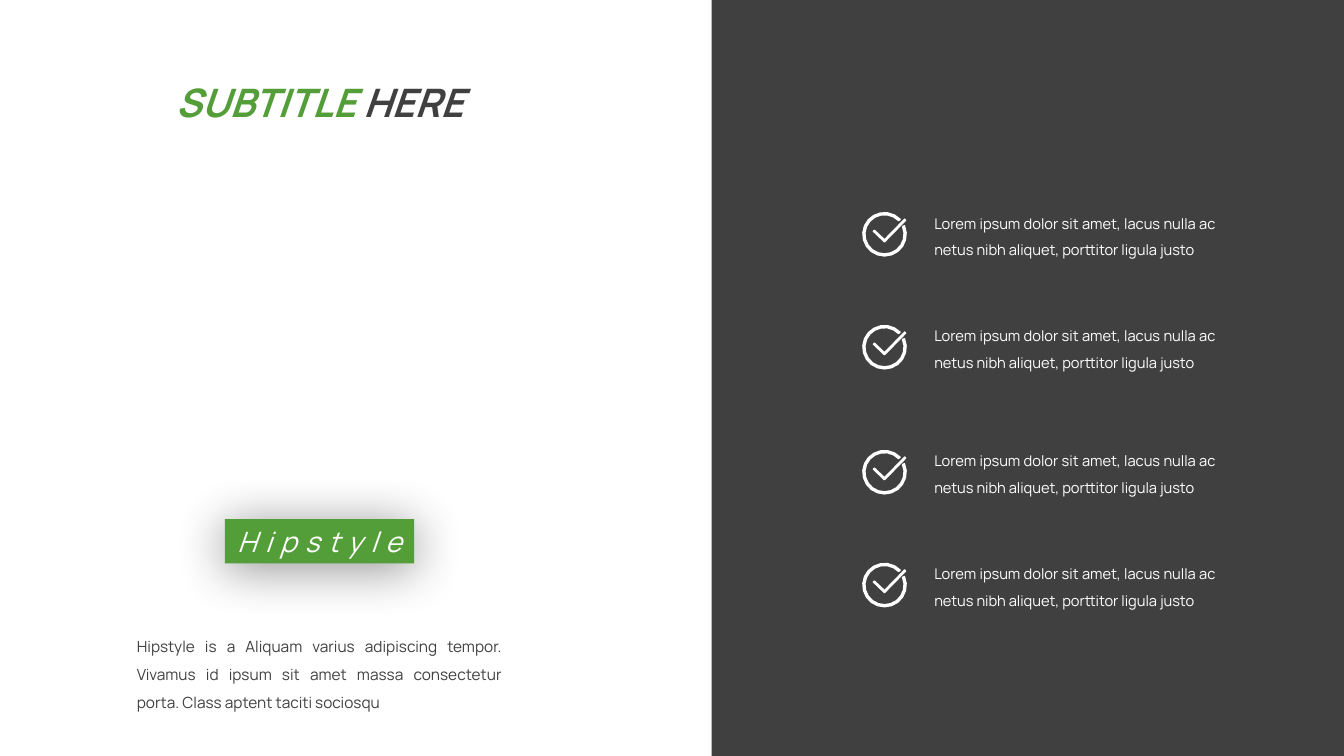
from dataclasses import dataclass
from math import cos, radians, sin

from lxml import etree
from pptx import Presentation
from pptx.dml.color import RGBColor
from pptx.enum.shapes import MSO_SHAPE
from pptx.enum.text import MSO_ANCHOR, MSO_AUTO_SIZE as AUTO, PP_ALIGN as ALIGN
from pptx.oxml.ns import qn
from pptx.util import Inches, Pt

GREEN, DARK, WHITE = "549E39", "404040", "FFFFFF"
FONT = "Manrope"
ITEM_TEXT = ("Lorem ipsum dolor sit amet, lacus nulla ac netus nibh aliquet, "
             "porttitor ligula justo")
ABOUT_TEXT = ("Hipstyle is a Aliquam varius adipiscing tempor. Vivamus id ipsum "
              "sit amet massa consectetur porta. Class aptent taciti sociosqu")

ICON_X, ICON_SIZE = 8.56, 0.43
FIRST_ICON_Y, ITEM_PITCH, PAIR_PITCH = 2.11, 1.12, 2.36
RING_OUTER, RING_INNER = 0.215, 0.195
RING_START, RING_END, RING_SIDES = -23, 316, 18
# Tick outline measured from the centre of the ring
TICK = [(-0.1, -0.04), (0, 0.055), (0.2, -0.15),
        (0.21, -0.14), (0, 0.075), (-0.11, -0.03)]


@dataclass
class Run:
    text: str
    size: float
    color: str
    bold: bool = False
    italic: bool = False


@dataclass
class Box:
    x: float
    y: float
    w: float
    h: float


def rgb(color: str) -> RGBColor:
    return RGBColor.from_string(color)


def write_runs(p, runs: list[Run]) -> None:
    for run in runs:
        r = p.add_run()
        r.text = run.text
        r.font.name = FONT
        r.font.size = Pt(run.size)
        r.font.bold = run.bold
        r.font.italic = run.italic
        r.font.color.rgb = rgb(run.color)


def add_text(slide, box: Box, runs: list[Run], align: ALIGN,
             spacing: float = 1.0, insets: tuple[float, float] = (7.2, 3.6)) -> None:
    """Add a wrapping text box; insets are side and top margins in points."""
    sp = slide.shapes.add_textbox(Inches(box.x), Inches(box.y),
                                  Inches(box.w), Inches(box.h))
    tf = sp.text_frame
    tf.word_wrap = True
    tf.auto_size = AUTO.SHAPE_TO_FIT_TEXT
    tf.margin_left = tf.margin_right = Pt(insets[0])
    tf.margin_top = tf.margin_bottom = Pt(insets[1])
    p = tf.paragraphs[0]
    p.alignment = align
    p.line_spacing = spacing
    write_runs(p, runs)


def add_rect(slide, box: Box, color: str):
    sp = slide.shapes.add_shape(MSO_SHAPE.RECTANGLE, Inches(box.x), Inches(box.y),
                                Inches(box.w), Inches(box.h))
    sp.shadow.inherit = False
    sp.fill.solid()
    sp.fill.fore_color.rgb = rgb(color)
    sp.line.fill.background()
    return sp


def add_soft_shadow(sp, blur: float, distance: float, alpha: int) -> None:
    effects = sp._element.spPr.find(qn("a:effectLst"))
    shadow = etree.SubElement(effects, qn("a:outerShdw"), blurRad=str(Pt(blur)),
                              dist=str(Pt(distance)), dir="5400000",
                              algn="t", rotWithShape="0")
    color = etree.SubElement(shadow, qn("a:srgbClr"), val="000000")
    etree.SubElement(color, qn("a:alpha"), val=str(alpha * 1000))


def ring_outline() -> list[tuple[float, float]]:
    """Outer arc forwards, then inner arc backwards, leaving a gap for the tick."""
    step = (RING_END - RING_START) / RING_SIDES
    angles = [radians(RING_START + i * step) for i in range(RING_SIDES + 1)]
    outer = [(RING_OUTER * cos(a), RING_OUTER * sin(a)) for a in angles]
    inner = [(RING_INNER * cos(a), RING_INNER * sin(a)) for a in reversed(angles)]
    return outer + inner


def add_check_icon(slide, x: float, y: float) -> None:
    cx, cy = x + ICON_SIZE / 2, y + ICON_SIZE / 2
    ring, tick = ([(Inches(cx + dx), Inches(cy + dy)) for dx, dy in outline]
                  for outline in (ring_outline(), TICK))
    builder = slide.shapes.build_freeform(*ring[0])
    builder.add_line_segments(ring[1:], close=True)
    builder.move_to(*tick[0])
    builder.add_line_segments(tick[1:], close=True)
    sp = builder.convert_to_shape()
    sp.shadow.inherit = False
    sp.fill.solid()
    sp.fill.fore_color.rgb = rgb(WHITE)
    sp.line.color.rgb = rgb(WHITE)
    sp.line.width = Pt(1)
    etree.SubElement(sp._element.spPr.find(qn("a:ln")), qn("a:round"))


def add_name_tag(slide) -> None:
    sp = add_rect(slide, Box(2.23, 5.15, 1.88, 0.44), GREEN)
    add_soft_shadow(sp, blur=37, distance=4, alpha=43)
    tf = sp.text_frame
    tf.word_wrap = False
    tf.auto_size = AUTO.SHAPE_TO_FIT_TEXT
    tf.vertical_anchor = MSO_ANCHOR.MIDDLE
    p = tf.paragraphs[0]
    p.alignment = ALIGN.CENTER
    write_runs(p, [Run("Hipstyle", 20, WHITE, italic=True)])
    p.runs[0].font._element.set("spc", "600")


def main() -> None:
    prs = Presentation()
    prs.slide_width, prs.slide_height = Inches(40 / 3), Inches(7.5)
    slide = prs.slides.add_slide(prs.slide_layouts[6])

    add_rect(slide, Box(7.06, 0, 6.28, 7.5), DARK)
    add_text(slide, Box(1.29, 0.73, 3.76, 0.57),
             [Run("SUBTITLE", 28, GREEN, bold=True, italic=True),
              Run(" HERE", 28, DARK, bold=True, italic=True)], ALIGN.CENTER)
    add_text(slide, Box(1.29, 6.2, 3.76, 0.9), [Run(ABOUT_TEXT, 11, DARK)],
             ALIGN.JUSTIFY, spacing=1.5, insets=(4.9, 2.45))

    for i in range(4):
        pair, row = divmod(i, 2)
        y = FIRST_ICON_Y + pair * PAIR_PITCH + row * ITEM_PITCH
        add_check_icon(slide, ICON_X, y)
        add_text(slide, Box(9.17, y - 0.12, 2.99, 0.6), [Run(ITEM_TEXT, 10.5, WHITE)],
                 ALIGN.JUSTIFY, spacing=1.5)

    add_name_tag(slide)
    prs.save("out.pptx")


if __name__ == "__main__":
    main()
